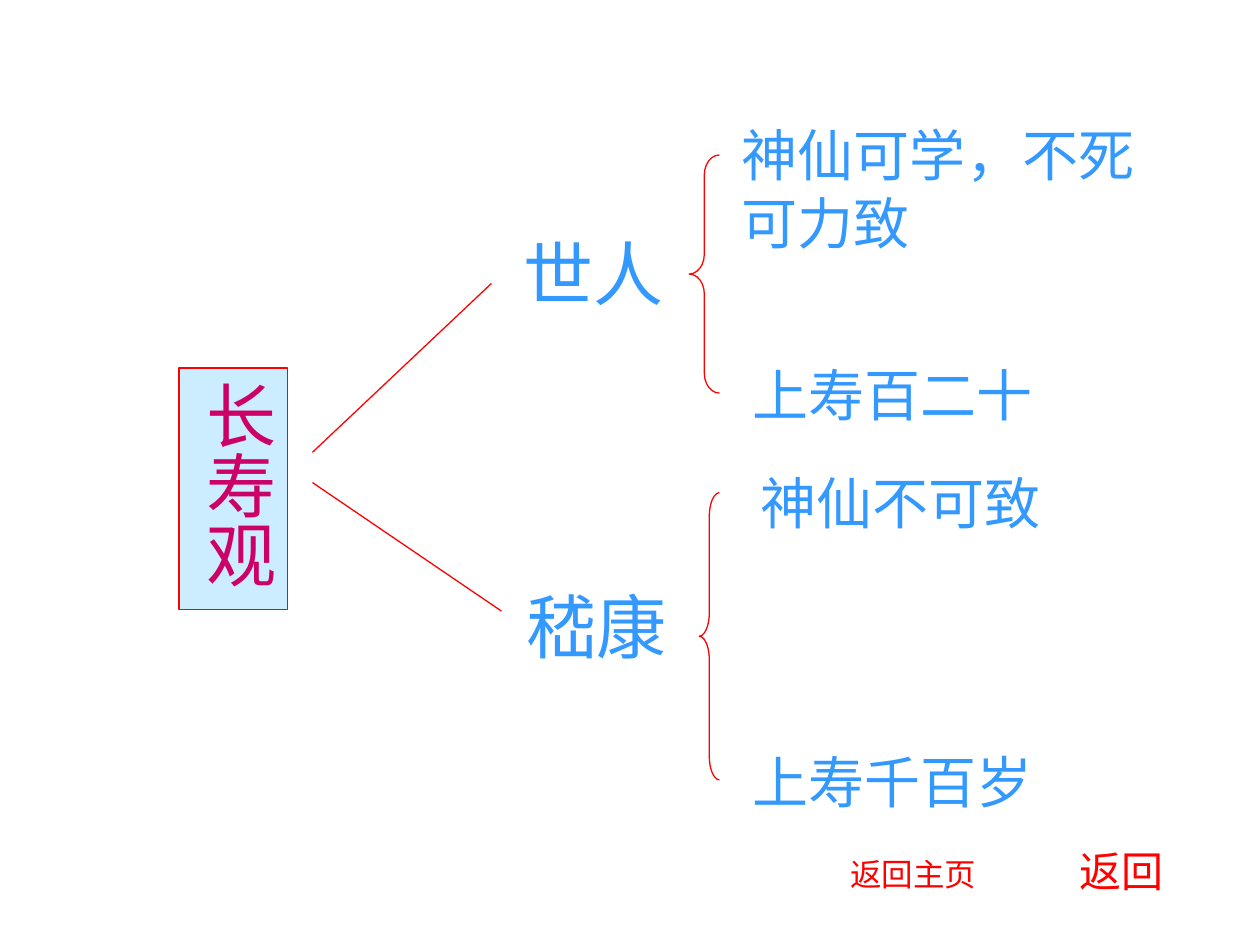
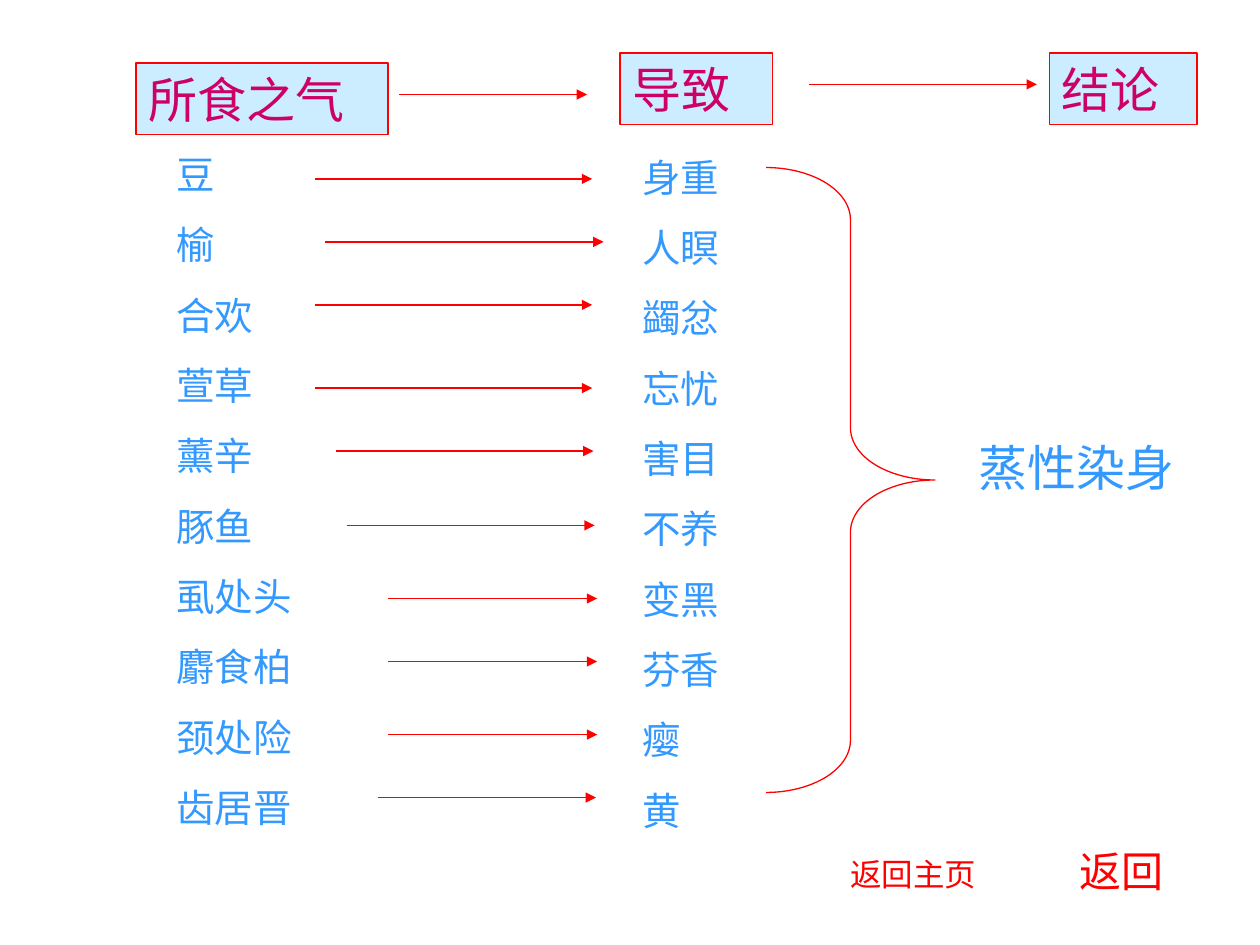
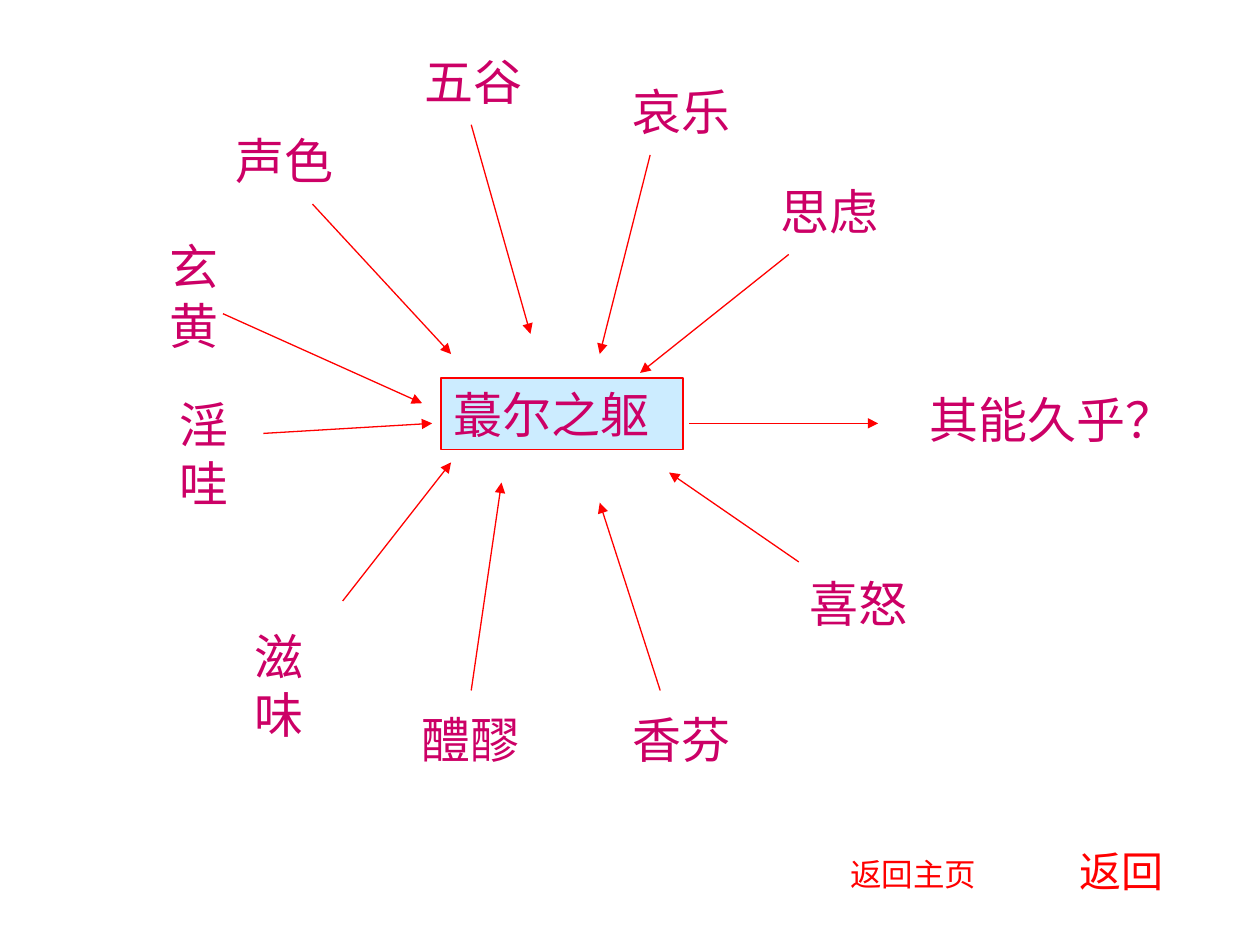
from typing import NamedTuple

from lxml.etree import SubElement
from pptx import Presentation
from pptx.dml.color import RGBColor
from pptx.enum.shapes import MSO_CONNECTOR, MSO_SHAPE
from pptx.enum.text import MSO_ANCHOR, MSO_AUTO_SIZE, PP_ALIGN
from pptx.oxml.ns import qn
from pptx.util import Inches, Pt

SLIDE_WIDTH, SLIDE_HEIGHT = Inches(10), Inches(7.5)
COLUMN, ROW = SLIDE_WIDTH / 100, SLIDE_HEIGHT / 75
BLANK_LAYOUT = 6
FONT = "Arial"
LINE_WIDTH = Pt(0.75)
LIST_GAP = Pt(13.8)
BRACE_BEND = 1 / 12  # height of one brace curve as a share of the brace

COLORS = {"paper": "FFFFFF", "panel": "CCECFF", "red": "FF0000",
          "blue": "3399FF", "magenta": "CC0066"}


class Style(NamedTuple):
    size: int
    color: str
    fill: str | None = "paper"
    outlined: bool = False
    vertical: bool = False


class Box(NamedTuple):
    """Text, one paragraph a line, placed in columns and rows."""
    text: str
    left: float
    top: float
    width: float
    height: float
    style: Style


class Line(NamedTuple):
    start_column: float
    start_row: float
    end_column: float
    end_row: float


class Brace(NamedTuple):
    preset: MSO_SHAPE
    left: float
    top: float
    width: float
    height: float


ROOT = Style(40, "magenta", "panel", outlined=True, vertical=True)
BRANCH = Style(40, "blue")
LEAF = Style(32, "blue")
HEADER = Style(28, "magenta", "panel", outlined=True)
LIST = Style(22, "blue")
CONCLUSION = Style(28, "blue")
FACTOR = Style(28, "magenta")

NAVIGATION = [
    Box("返回", 84.7, 66.6, 11, 5, Style(24, "red", None)),
    Box("返回主页", 66.5, 67.4, 13.4, 4, Style(18, "red", None)),
]

LONGEVITY_BOXES = [
    Box("长寿观", 14.2, 29.2, 8.6, 19.2, ROOT),
    Box("世人", 40.6, 17.8, 13.6, 7.7, BRANCH),
    Box("嵇康", 40.8, 45.8, 14.5, 7.7, BRANCH),
    Box("神仙可学，不死可力致", 57.9, 9.1, 37.1, 11.7, LEAF),
    Box("上寿百二十", 58.7, 28.1, 29.1, 6.4, LEAF),
    Box("神仙不可致", 59.4, 36.7, 32.3, 6.4, LEAF),
    Box("上寿千百岁", 58.7, 58.8, 28.8, 6.4, LEAF),
]
LONGEVITY_LINES = [Line(24.8, 35.9, 39, 22.5), Line(24.8, 38.3, 39.8, 48.5)]
LONGEVITY_BRACES = [
    Brace(MSO_SHAPE.LEFT_BRACE, 54.7, 12.3, 2.4, 18.9),
    Brace(MSO_SHAPE.LEFT_BRACE, 55.5, 39.1, 1.6, 22.8),
]

CAUSES_AND_EFFECTS = [
    ("豆", "身重"), ("榆", "人瞑"), ("合欢", "蠲忿"), ("萱草", "忘忧"),
    ("薰辛", "害目"), ("豚鱼", "不养"), ("虱处头", "变黑"),
    ("麝食柏", "芬香"), ("颈处险", "瘿"), ("齿居晋", "黄"),
]
CAUSES, EFFECTS = ("\n".join(words) for words in zip(*CAUSES_AND_EFFECTS))
QI_BOXES = [
    Box("所食之气", 10.8, 5, 20, 5.7, HEADER),
    Box("导致", 49.2, 4.2, 12.1, 5.7, HEADER),
    Box("结论", 83.3, 4.2, 11.7, 5.7, HEADER),
    Box(CAUSES, 13, 11.5, 11.8, 54.9, LIST),
    Box(EFFECTS, 50, 11.7, 11, 54.9, LIST),
    Box("蒸性染身", 76.7, 34.2, 19.2, 5.7, CONCLUSION),
]
# Start column, end column and row of each level arrow.
QI_SPANS = [
    (31.7, 46.6, 7.5), (64.2, 82.3, 6.7),
    (25, 47, 14.2), (25.8, 47.9, 19.2), (25, 47, 24.2), (25, 47, 30.8),
    (26.7, 47.1, 35.8), (27.5, 47.2, 41.7), (30.8, 47.4, 47.5),
    (30.8, 47.4, 52.5), (30.8, 47.4, 58.3), (30, 47.3, 63.3),
]
QI_ARROWS = [Line(start, row, end, row) for start, end, row in QI_SPANS]
QI_BRACES = [Brace(MSO_SHAPE.RIGHT_BRACE, 60.8, 13.3, 13.4, 49.6)]

BODY_BOXES = [
    Box("五谷", 32.7, 3.6, 12.6, 5.7, FACTOR),
    Box("声色", 17.7, 9.9, 11.8, 5.7, FACTOR),
    Box("玄黄", 12.5, 18.3, 5, 10.4, FACTOR),
    Box("淫哇", 13.3, 30.8, 6.1, 10.4, FACTOR),
    Box("滋味", 19.2, 49.2, 6.7, 10.4, FACTOR),
    Box("醴醪", 32.5, 55.8, 10.7, 5.7, FACTOR),
    Box("哀乐", 49.2, 6, 12.6, 5.7, FACTOR),
    Box("思虑", 61, 13.9, 13.4, 5.7, FACTOR),
    Box("香芬", 49.2, 55.8, 10.8, 5.7, FACTOR),
    Box("喜怒", 63.3, 45, 11.8, 5.7, FACTOR),
    Box("蕞尔之躯", 35, 30, 19.2, 5.7, HEADER),
    Box("其能久乎？", 72.8, 30.4, 23.6, 5.7, FACTOR),
]
BODY_ARROWS = [
    Line(62.6, 20.2, 50.8, 29.6), Line(51.6, 12.3, 47.6, 28.1),
    Line(37.4, 9.9, 42.1, 26.5), Line(24.8, 16.2, 35.8, 28.1),
    Line(17.7, 24.9, 33.5, 32), Line(20.9, 34.4, 34.3, 33.6),
    Line(27.2, 47.7, 35.8, 36.7), Line(37.4, 54.8, 39.8, 38.3),
    Line(52.4, 54.8, 47.6, 39.9), Line(63.4, 44.6, 53.1, 37.5),
    Line(54.7, 33.6, 69.7, 33.6),
]


def rgb(name: str) -> RGBColor:
    return RGBColor.from_string(COLORS[name])


def place(left: float, top: float, width: float, height: float) -> list[int]:
    """Turn columns and rows into slide lengths."""
    return [round(left * COLUMN), round(top * ROW),
            round(width * COLUMN), round(height * ROW)]


def set_red_line(shape) -> None:
    shape.line.color.rgb = rgb("red")
    shape.line.width = LINE_WIDTH


def add_box(slide, box: Box) -> None:
    style = box.style
    position = place(*box[1:5])
    if style.fill:
        shape = slide.shapes.add_shape(MSO_SHAPE.RECTANGLE, *position)
        shape.shadow.inherit = False
        shape.fill.solid()
        shape.fill.fore_color.rgb = rgb(style.fill)
        if style.outlined:
            set_red_line(shape)
        else:
            shape.line.fill.background()
    else:
        shape = slide.shapes.add_textbox(*position)
    frame = shape.text_frame
    frame.text = box.text
    frame.word_wrap = True
    frame.auto_size = MSO_AUTO_SIZE.SHAPE_TO_FIT_TEXT
    frame.vertical_anchor = MSO_ANCHOR.TOP
    if style.vertical:
        frame.margin_left = frame.margin_right = Inches(0.05)
        frame.margin_top = frame.margin_bottom = Inches(0.1)
        shape.element.txBody.find(qn("a:bodyPr")).set("vert", "eaVert")
    for index, paragraph in enumerate(frame.paragraphs):
        paragraph.alignment = PP_ALIGN.LEFT
        paragraph.space_before = LIST_GAP if index else Pt(0)
        paragraph.font.name = FONT
        paragraph.font.size = Pt(style.size)
        paragraph.font.color.rgb = rgb(style.color)


def add_line(slide, line: Line, arrow: bool) -> None:
    connector = slide.shapes.add_connector(
        MSO_CONNECTOR.STRAIGHT, *place(*line))
    set_red_line(connector)
    if arrow:
        SubElement(connector.line._get_or_add_ln(), qn("a:tailEnd"),
                   type="triangle")
    SubElement(connector.element.spPr, qn("a:effectLst"))


def add_brace(slide, brace: Brace) -> None:
    shape = slide.shapes.add_shape(brace.preset, *place(*brace[1:]))
    shape.shadow.inherit = False
    shape.fill.background()
    set_red_line(shape)
    shape.adjustments[0] = brace.height * BRACE_BEND / brace.width


def add_diagram(presentation, boxes: list[Box], lines: list[Line],
                braces: list[Brace], arrows: bool = True) -> None:
    """Add one slide with its diagram and the shared navigation."""
    layout = presentation.slide_layouts[BLANK_LAYOUT]
    slide = presentation.slides.add_slide(layout)
    slide.background.fill.solid()
    slide.background.fill.fore_color.rgb = rgb("paper")
    for box in boxes:
        add_box(slide, box)
    for line in lines:
        add_line(slide, line, arrows)
    for brace in braces:
        add_brace(slide, brace)
    for box in NAVIGATION:
        add_box(slide, box)


def main() -> None:
    presentation = Presentation()
    presentation.slide_width = SLIDE_WIDTH
    presentation.slide_height = SLIDE_HEIGHT
    add_diagram(presentation, LONGEVITY_BOXES, LONGEVITY_LINES,
                LONGEVITY_BRACES, arrows=False)
    add_diagram(presentation, QI_BOXES, QI_ARROWS, QI_BRACES)
    add_diagram(presentation, BODY_BOXES, BODY_ARROWS, [])
    presentation.save("out.pptx")


if __name__ == "__main__":
    main()
